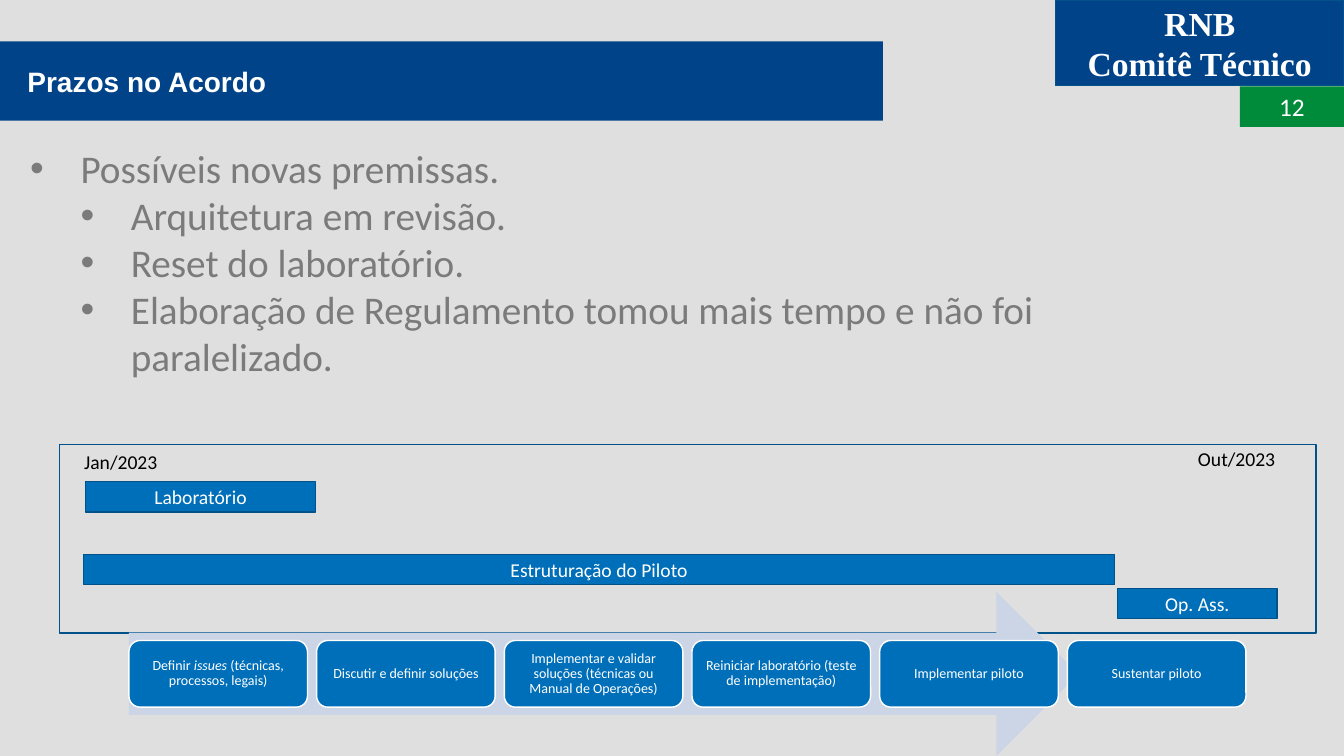
from lxml.etree import SubElement
from pptx import Presentation
from pptx.dml.color import RGBColor
from pptx.enum.shapes import MSO_SHAPE
from pptx.enum.text import MSO_ANCHOR, PP_ALIGN
from pptx.oxml.ns import qn
from pptx.util import Cm, Pt

NAVY, BLUE, EDGE, WHITE = "004389", "006FB9", "005289", "FFFFFF"
LABEL = {"size": Pt(14), "name": "Calibri"}
STEPS = [
    [("Definir ", False), ("issues ", True), ("(técnicas, processos, legais)", False)],
    [("Discutir e definir soluções", False)],
    [("Implementar e validar soluções (técnicas ou Manual de Operações)", False)],
    [("Reiniciar laboratório (teste de implementação)", False)],
    [("Implementar piloto", False)],
    [("Sustentar piloto", False)],
]


def rgb(value):
    """Return the colour for a hex string."""
    return RGBColor.from_string(value)


def apply(target, values):
    """Set each attribute of the target from a dict."""
    for name, value in values.items():
        setattr(target, name, value)


def add_run(p, text, color, font):
    """Add one formatted run to a paragraph."""
    r = p.add_run()
    r.text = text
    apply(r.font, font)
    r.font.color.rgb = rgb(color)


def write(sp, lines, color, font, align=PP_ALIGN.CENTER):
    """Write one paragraph per line, vertically centred."""
    tf = sp.text_frame
    apply(tf, {"word_wrap": True, "vertical_anchor": MSO_ANCHOR.MIDDLE})
    for i, line in enumerate(lines):
        p = tf.paragraphs[0] if i == 0 else tf.add_paragraph()
        p.alignment = align
        add_run(p, line, color, font)


def add_box(s, box, fill=None, line=None, kind=MSO_SHAPE.RECTANGLE):
    """Add a flat shape with an optional fill and outline."""
    sp = s.shapes.add_shape(kind, *map(Cm, box))
    sp.shadow.inherit = False
    if fill:
        sp.fill.solid()
        sp.fill.fore_color.rgb = rgb(fill)
    else:
        sp.fill.background()
    if line:
        sp.line.color.rgb = rgb(line)
        sp.line.width = Pt(1)
    else:
        sp.line.fill.background()
    return sp


def add_bullet(p, level):
    """Give a paragraph a hanging bullet at its level."""
    p.level = level
    pPr = p._p.get_or_add_pPr()
    pPr.set("marL", str(Cm(1.27 * (level + 1))))
    pPr.set("indent", str(Cm(-1.27)))
    SubElement(pPr, qn("a:buFont")).set("typeface", "Arial")
    SubElement(pPr, qn("a:buChar")).set("char", "•")


def add_corner(s, x, y, w, h):
    """Place the committee block and the page number under it."""
    font = {"size": Pt(24), "name": "Times New Roman", "bold": True}
    committee = add_box(s, (x, y, w, h), NAVY, EDGE)
    write(committee, ["RNB", "Comitê Técnico"], WHITE, font)
    number = add_box(s, (x + w - 2.62, y + h + 0.02, 2.62, 1.02), "008B3A")
    write(number, ["12"], WHITE, {"size": Pt(18), "name": "Calibri"})


def add_title(s, x, y, w, h):
    """Turn the title placeholder into the title band."""
    title = s.shapes.title
    apply(title, dict(zip(("left", "top", "width", "height"), map(Cm, (x, y, w, h)))))
    title.fill.solid()
    title.fill.fore_color.rgb = rgb(NAVY)
    title.text_frame.margin_left = Cm(0.69)
    font = {"size": Pt(20), "name": "Arial", "bold": True}
    write(title, ["Prazos no Acordo"], WHITE, font, PP_ALIGN.LEFT)


def add_premises(s, x, y, w, h):
    """Place the bulleted list of premises."""
    premises = [
        (0, "Possíveis novas premissas."),
        (1, "Arquitetura em revisão."),
        (1, "Reset do laboratório."),
        (1, "Elaboração de Regulamento tomou mais tempo e não foi paralelizado."),
    ]
    tf = s.shapes.add_textbox(*map(Cm, (x, y, w, h))).text_frame
    tf.word_wrap = True
    for i, (level, text) in enumerate(premises):
        p = tf.paragraphs[0] if i == 0 else tf.add_paragraph()
        add_bullet(p, level)
        add_run(p, text, "7B7B7B", {"size": Pt(28), "name": "Calibri"})


def add_timeline(s, x, y, w, h):
    """Place the framed timeline with its dates and phase bars."""
    dates = [("Jan/2023", -0.81, 0.06), ("Out/2023", w - 4.31, -0.03)]
    for text, dx, dy in dates:
        label = s.shapes.add_textbox(Cm(x + dx), Cm(y + dy), Cm(3.53), Cm(0.76))
        write(label, [text], "000000", LABEL, PP_ALIGN.RIGHT)
    add_box(s, (x, y, w, h), line=EDGE)
    phases = [
        ("Laboratório", 0.66, 0.94, 5.79),
        ("Estruturação do Piloto", 0.61, 2.77, 25.98),
        ("Op. Ass.", 26.67, 3.63, 4.01),
    ]
    for text, dx, dy, width in phases:
        bar = add_box(s, (x + dx, y + dy, width, 0.76), BLUE, EDGE)
        write(bar, [text], WHITE, LABEL)


def add_process(s, x, y, w, h):
    """Place the arrow and the evenly spaced steps over it."""
    step_w, step_h = 4.5, 1.68
    pitch = (w - step_w) / (len(STEPS) - 1)
    add_box(s, (x, y, 23.93, h), "CCD5E6", kind=MSO_SHAPE.RIGHT_ARROW)
    margins = dict.fromkeys(
        ("margin_left", "margin_right", "margin_top", "margin_bottom"), Cm(0.19))
    for i, runs in enumerate(STEPS):
        box = (x + i * pitch, y + (h - step_h) / 2, step_w, step_h)
        tf = add_box(s, box, BLUE, WHITE, MSO_SHAPE.ROUNDED_RECTANGLE).text_frame
        apply(tf, {"word_wrap": True, "vertical_anchor": MSO_ANCHOR.MIDDLE, **margins})
        p = tf.paragraphs[0]
        apply(p, {"alignment": PP_ALIGN.CENTER, "line_spacing": 0.9})
        for text, italic in runs:
            add_run(p, text, WHITE, {"size": Pt(10), "name": "Calibri", "italic": italic})


def main():
    """Build and save the slide."""
    prs = Presentation()
    apply(prs, {"slide_width": Cm(33.87), "slide_height": Cm(19.05)})
    s = prs.slides.add_slide(prs.slide_layouts[5])
    s.background.fill.solid()
    s.background.fill.fore_color.rgb = rgb("DFDFDF")
    add_corner(s, 26.6, 0, 7.27, 2.16)
    add_title(s, 0, 1.04, 22.25, 2)
    add_premises(s, 0.51, 3.51, 28.3, 7.39)
    add_timeline(s, 1.5, 11.2, 31.67, 4.75)
    add_process(s, 3.25, 14.91, 28.15, 4.14)
    prs.save("out.pptx")


main()
